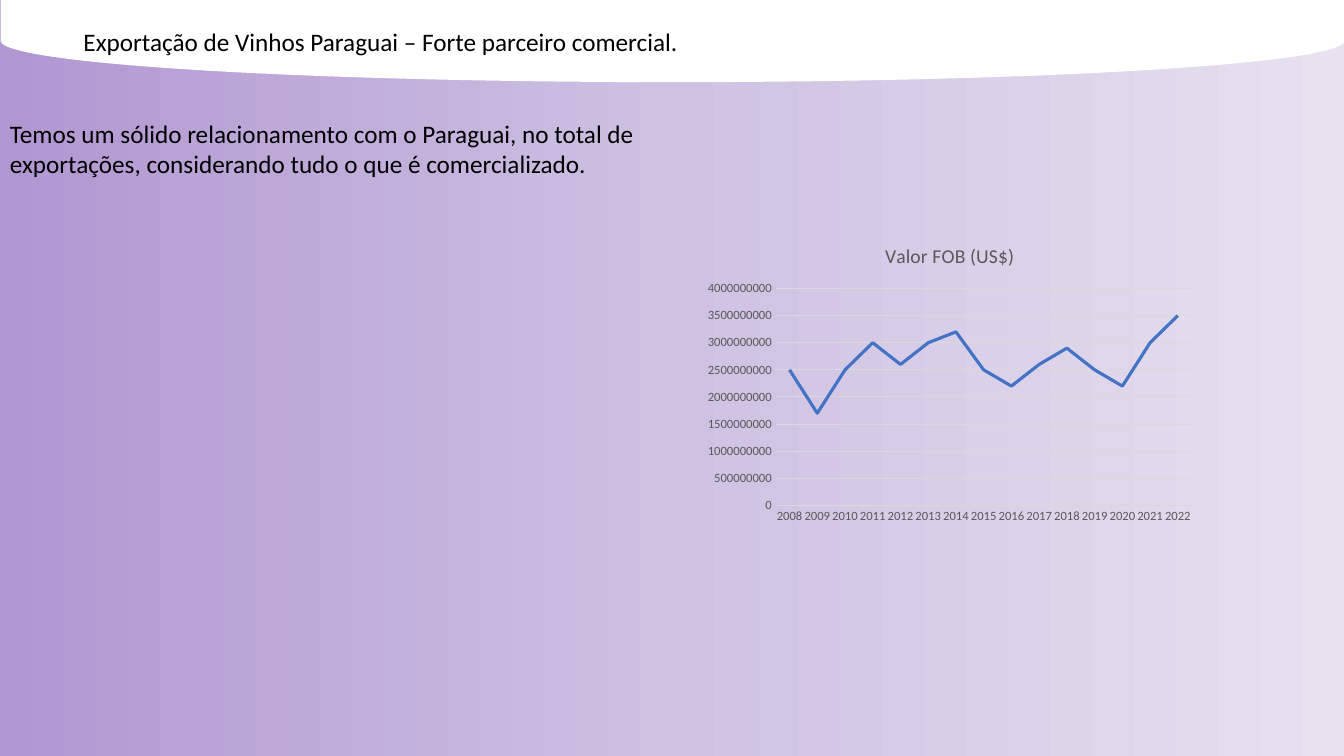
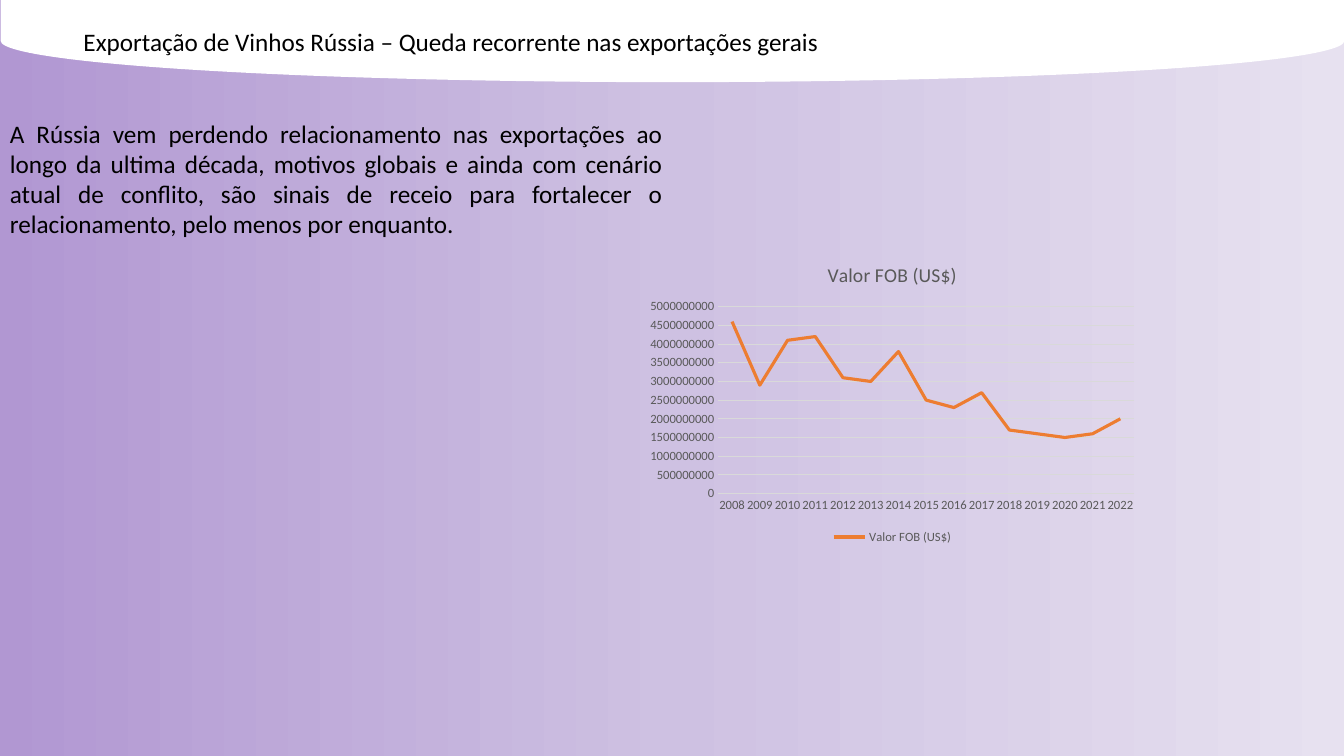
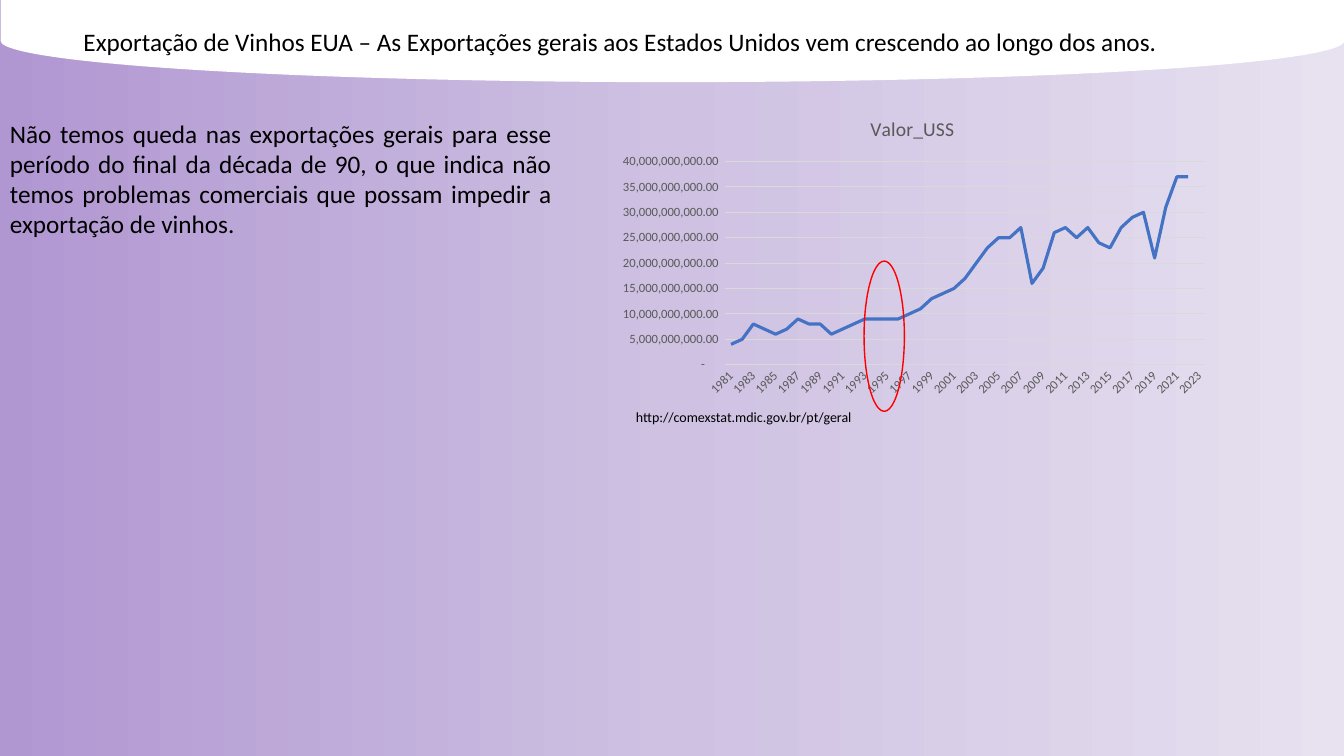
"""Build three slides on export values to Paraguay, Russia and the USA."""
import copy
import dataclasses

import pptx
import pptx.chart.data
import pptx.dml.color
import pptx.enum.chart
import pptx.enum.shapes
import pptx.enum.text
import pptx.oxml.ns
import pptx.util

Inches = pptx.util.Inches
Pt = pptx.util.Pt
Color = pptx.dml.color.RGBColor.from_string
Align = pptx.enum.text.PP_ALIGN
ShapeType = pptx.enum.shapes.MSO_SHAPE


@dataclasses.dataclass(frozen=True)
class Theme:
    font: str = "Calibri"
    text: Color = Color("000000")
    band: Color = Color("FFFFFF")
    gradient: tuple = (Color("B197D2"), Color("CEC1E2"), Color("E7E1F0"))
    chart_text: Color = Color("595959")
    grid: Color = Color("D9D9D9")
    blue: Color = Color("4472C4")
    orange: Color = Color("ED7D31")
    highlight: Color = Color("FF0000")
    body_size: Pt = Pt(18)
    chart_title_size: Pt = Pt(14)
    source_size: Pt = Pt(10)
    axis_size: Pt = Pt(9)
    grid_width: Pt = Pt(0.75)
    series_width: Pt = Pt(2.25)
    highlight_width: Pt = Pt(1)


theme = Theme()


def set_font(font, size, color):
    """Apply the theme typeface with a size and a colour."""
    font.name = theme.font
    font.size = size
    font.bold = False
    font.color.rgb = color


def add_text(slide, text, left, top, width, height, size=theme.body_size, align=Align.LEFT, wrap=True):
    """Add a one-paragraph text box; lengths are in inches."""
    box = slide.shapes.add_textbox(Inches(left), Inches(top), Inches(width), Inches(height))
    frame = box.text_frame
    frame.word_wrap = wrap
    frame.auto_size = pptx.enum.text.MSO_AUTO_SIZE.SHAPE_TO_FIT_TEXT
    paragraph = frame.paragraphs[0]
    paragraph.alignment = align
    run = paragraph.add_run()
    run.text = text
    set_font(run.font, size, theme.text)


topics = [
    {
        "title": "Exportação de Vinhos Paraguai – Forte parceiro comercial.",
        "title_width": 6.16,
        "body": "Temos um sólido relacionamento com o Paraguai, no total de exportações, "
                "considerando tudo o que é comercializado.",
        "body_size": (6.67, 0.71),
        "align": Align.LEFT,
        "chart_area": (6.92, 2.26, 5, 3),
        "series": "Valor FOB (US$)",
        "first_year": 2008,
        "billions": [2.5, 1.7, 2.5, 3, 2.6, 3, 3.2, 2.5, 2.2, 2.6, 2.9, 2.5, 2.2, 3, 3.5],
        "color": theme.blue,
        "number_format": "0",
        "legend": False,
    },
    {
        "title": "Exportação de Vinhos Rússia – Queda recorrente nas exportações gerais",
        "title_width": 7.57,
        "body": "A Rússia vem perdendo relacionamento nas exportações ao longo da ultima década, "
                "motivos globais e ainda com cenário atual de conflito, são sinais de receio para "
                "fortalecer o relacionamento, pelo menos por enquanto.",
        "body_size": (6.67, 1.31),
        "align": Align.JUSTIFY,
        "chart_area": (6.35, 2.44, 5, 3),
        "series": "Valor FOB (US$)",
        "first_year": 2008,
        "billions": [4.6, 2.9, 4.1, 4.2, 3.1, 3, 3.8, 2.5, 2.3, 2.7, 1.7, 1.6, 1.5, 1.6, 2],
        "color": theme.orange,
        "number_format": "0",
        "legend": True,
    },
    {
        "title": "Exportação de Vinhos EUA – As Exportações gerais aos Estados Unidos "
                 "vem crescendo ao longo dos anos.",
        "title_width": 10.96,
        "body": "Não temos queda nas exportações gerais para esse período do final da década de 90, "
                "o que indica não temos problemas comerciais que possam impedir a exportação de vinhos.",
        "body_size": (5.57, 1.31),
        "align": Align.JUSTIFY,
        "chart_area": (6.03, 1, 6.04, 3),
        "series": "Valor_USS",
        "first_year": 1981,
        "billions": [4, 5, 8, 7, 6, 7, 9, 8, 8, 6, 7, 8, 9, 9, 9, 9, 10, 11, 13, 14, 15, 17,
                     20, 23, 25, 25, 27, 16, 19, 26, 27, 25, 27, 24, 23, 27, 29, 30, 21, 31,
                     37, 37, None],
        "color": theme.blue,
        "number_format": '_(* #,##0.00_);_(* \\(#,##0.00\\);_(* "-"??_);_(@_)',
        "legend": False,
    },
]

presentation = pptx.Presentation()
presentation.slide_width = Inches(13.33)
presentation.slide_height = Inches(7.5)
blank_layout = presentation.slide_layouts[6]

for topic in topics:
    slide = presentation.slides.add_slide(blank_layout)

    background = slide.shapes.add_shape(
        ShapeType.RECTANGLE, 0, 0, presentation.slide_width, presentation.slide_height)
    background.shadow.inherit = False
    background.line.fill.background()
    background.fill.gradient()
    background.fill.gradient_angle = 0
    stop_list = background._element.spPr.find(".//" + pptx.oxml.ns.qn("a:gsLst"))
    stop_list.append(copy.deepcopy(stop_list[-1]))
    for stop, position, color in zip(background.fill.gradient_stops, (0, 0.5, 1), theme.gradient):
        stop.position = position
        stop.color.rgb = color

    title_band = slide.shapes.add_shape(
        ShapeType.FLOWCHART_DELAY, Inches(6.26), Inches(-6.26), Inches(0.82), Inches(13.33))
    title_band.rotation = 90
    title_band.shadow.inherit = False
    title_band.fill.solid()
    title_band.fill.fore_color.rgb = theme.band
    title_band.line.fill.background()

    add_text(slide, topic["title"], 0.73, 0.21, topic["title_width"], 0.4, wrap=False)
    add_text(slide, topic["body"], 0, 1.12, *topic["body_size"], align=topic["align"])

    chart_data = pptx.chart.data.CategoryChartData()
    chart_data.categories = [str(topic["first_year"] + index) for index in range(len(topic["billions"]))]
    chart_data.add_series(
        topic["series"],
        [None if value is None else round(value * 1e9) for value in topic["billions"]])
    chart = slide.shapes.add_chart(
        pptx.enum.chart.XL_CHART_TYPE.LINE,
        *[Inches(length) for length in topic["chart_area"]], chart_data).chart
    set_font(chart.font, theme.source_size, theme.text)

    chart.has_title = True
    chart.chart_title.include_in_layout = False
    title_frame = chart.chart_title.text_frame
    title_frame.text = topic["series"]
    set_font(title_frame.paragraphs[0].runs[0].font, theme.chart_title_size, theme.chart_text)

    chart.has_legend = topic["legend"]
    if topic["legend"]:
        chart.legend.position = pptx.enum.chart.XL_LEGEND_POSITION.BOTTOM
        chart.legend.include_in_layout = False
        set_font(chart.legend.font, theme.axis_size, theme.chart_text)

    for axis in (chart.category_axis, chart.value_axis):
        axis.major_tick_mark = pptx.enum.chart.XL_TICK_MARK.NONE
        axis.minor_tick_mark = pptx.enum.chart.XL_TICK_MARK.NONE
        set_font(axis.tick_labels.font, theme.axis_size, theme.chart_text)
        label_body = axis._element.find(".//" + pptx.oxml.ns.qn("a:bodyPr"))
        label_body.set("rot", "-60000000")
        label_body.set("vert", "horz")
    chart.value_axis.has_major_gridlines = True
    for line in (chart.category_axis.format.line, chart.value_axis.major_gridlines.format.line):
        line.color.rgb = theme.grid
        line.width = theme.grid_width
    chart.value_axis.format.line.fill.background()
    chart.value_axis.tick_labels.number_format = topic["number_format"]
    chart.value_axis.tick_labels.number_format_is_linked = False

    plot = chart.plots[0]
    plot.vary_by_categories = False
    series = plot.series[0]
    series.smooth = False
    series.format.line.color.rgb = topic["color"]
    series.format.line.width = theme.series_width

add_text(slide, "http://comexstat.mdic.gov.br/pt/geral", 6.21, 4, 6.7, 0.27, size=theme.source_size)

nineties_ring = slide.shapes.add_shape(
    ShapeType.OVAL, Inches(8.57), Inches(2.59), Inches(0.4), Inches(1.49))
nineties_ring.shadow.inherit = False
nineties_ring.fill.background()
nineties_ring.line.color.rgb = theme.highlight
nineties_ring.line.width = theme.highlight_width

presentation.save("out.pptx")
